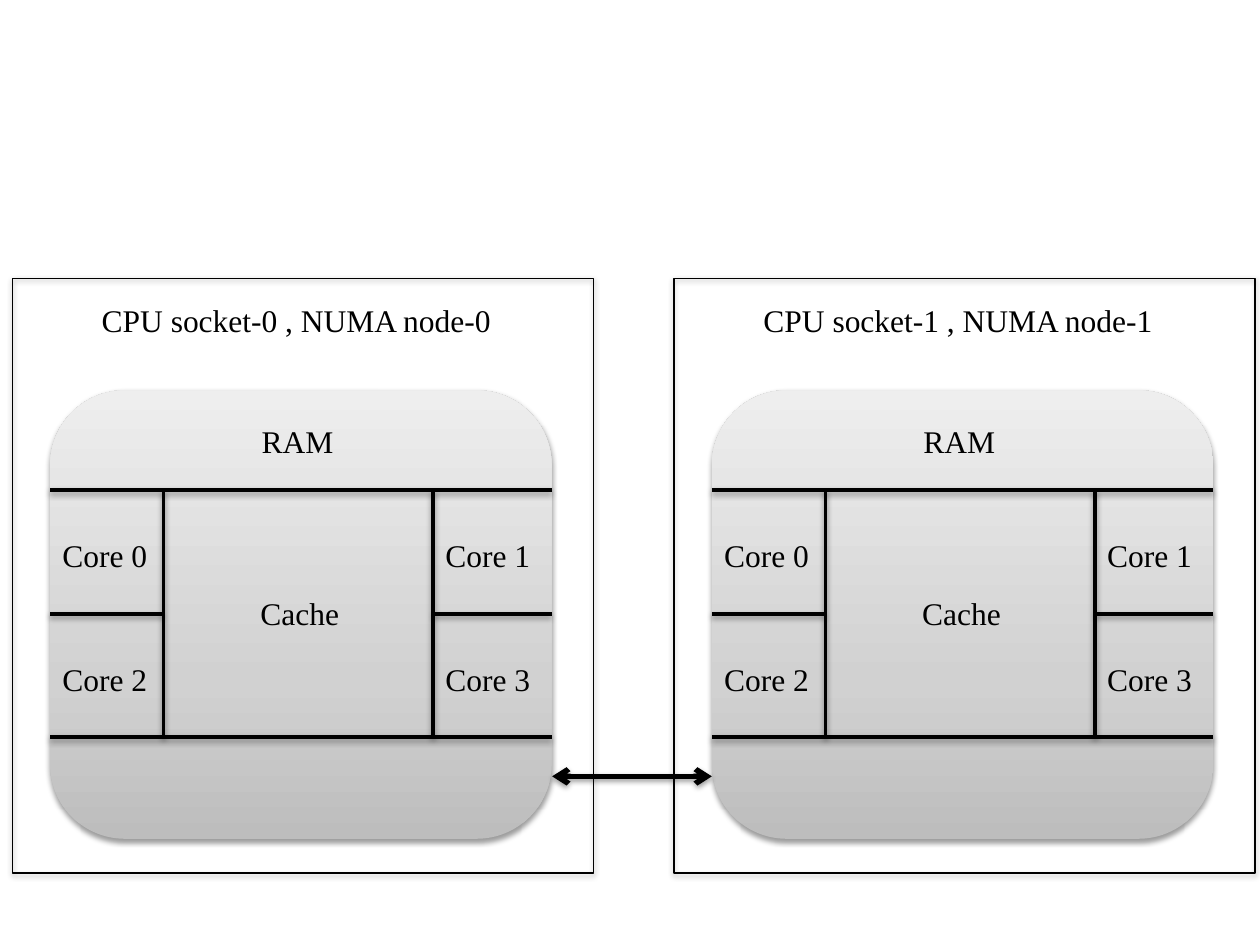
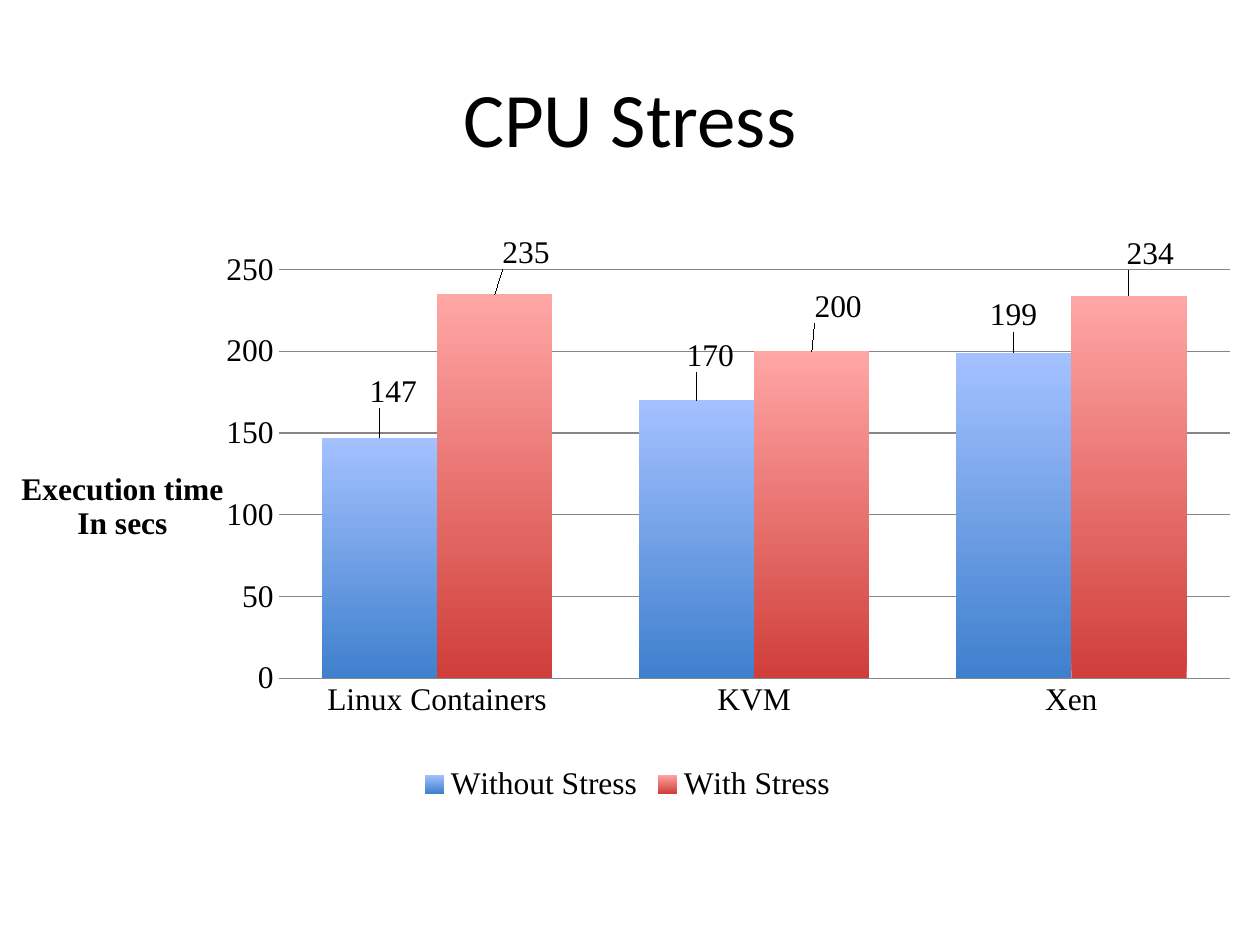
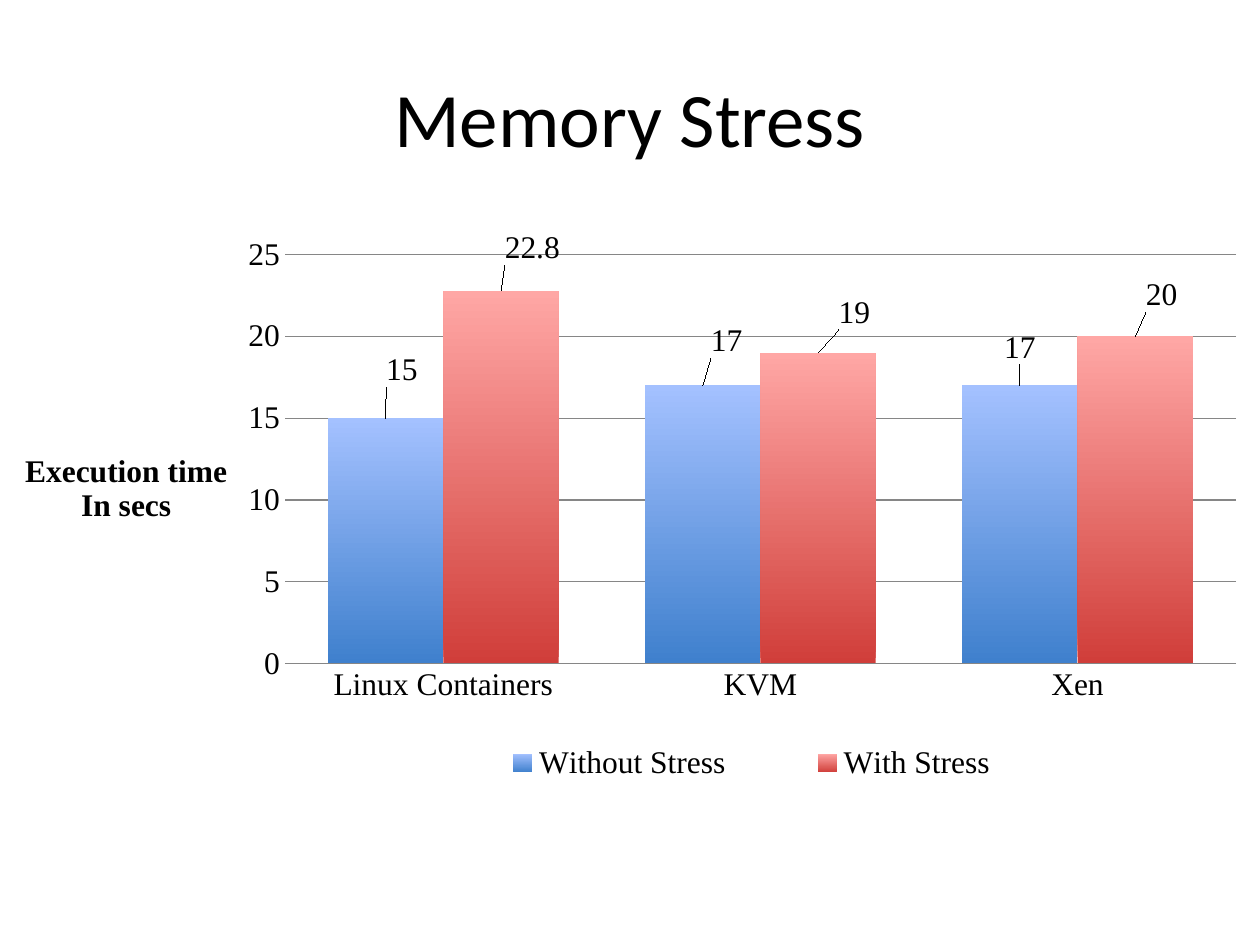
from copy import deepcopy

from lxml import etree
from pptx import Presentation
from pptx.chart.data import CategoryChartData as ChartData
from pptx.dml.color import RGBColor
from pptx.enum.chart import XL_CHART_TYPE as ChartType
from pptx.enum.chart import XL_LABEL_POSITION as LabelPosition
from pptx.enum.chart import XL_LEGEND_POSITION as LegendPosition
from pptx.enum.chart import XL_TICK_MARK as TickMark
from pptx.enum.shapes import MSO_CONNECTOR as Connector
from pptx.enum.shapes import MSO_SHAPE as Shape
from pptx.enum.text import MSO_ANCHOR as Anchor
from pptx.enum.text import PP_ALIGN as Align
from pptx.oxml.ns import qn
from pptx.util import Cm, Pt

COLORS = {
    "ink": "000000",
    "grid": "868686",
    "chip_dark": "BDBDBD",
    "chip_mid": "D1D1D1",
    "chip_light": "EEEEEE",
    "blue_dark": "3F80CD",
    "blue_light": "A4C1FF",
    "red_dark": "D03E3A",
    "red_light": "FFA7A5",
}
BODY_FONT = "Times New Roman"
TITLE_FONT = "Calibri"
BODY_SIZE = 18

CHIP_STOPS = [(0, "chip_dark"), (0.35, "chip_mid"), (1, "chip_light")]
SERIES_STOPS = [
    [(0, "blue_dark"), (1, "blue_light")],
    [(0, "red_dark"), (1, "red_light")],
]
PLATFORMS = ["Linux Containers", "KVM", "Xen"]


def color(name):
    return RGBColor.from_string(COLORS[name])


# Formatting helpers
def style_font(font, size=BODY_SIZE, face=BODY_FONT, bold=False):
    font.name, font.size, font.bold = face, Pt(size), bold
    font.color.rgb = color("ink")


def paint_gradient(fill, owner, stops):
    """Fill from bottom to top with (position, colour name) stops."""
    fill.gradient()
    fill.gradient_angle = 90
    stop_list = next(owner.iter(qn("a:gsLst")))
    while len(stop_list) < len(stops):
        stop_list.append(deepcopy(stop_list[0]))
    for stop, (position, name) in zip(fill.gradient_stops, stops):
        stop.position = position
        stop.color.rgb = color(name)


def add_shadow(shape):
    properties = shape._element.spPr
    effects = properties.find(qn("a:effectLst"))
    if effects is None:
        effects = etree.SubElement(properties, qn("a:effectLst"))
    shadow = etree.SubElement(effects, qn("a:outerShdw"), blurRad="40000", dist="20000",
                              dir="5400000", rotWithShape="0")
    tint = etree.SubElement(shadow, qn("a:srgbClr"), val=COLORS["ink"])
    etree.SubElement(tint, qn("a:alpha"), val="38000")


# Slide elements
def add_text(page, text, left, top, width, height=1.02, align=Align.LEFT,
             anchor=Anchor.TOP, **font_format):
    box = page.shapes.add_textbox(Cm(left), Cm(top), Cm(width), Cm(height))
    frame = box.text_frame
    frame.word_wrap = True
    frame.vertical_anchor = anchor
    para = frame.paragraphs[0]
    para.alignment = align
    span = para.add_run()
    span.text = text
    style_font(span.font, **font_format)


def add_title(page, text):
    add_text(page, text, 1.27, 0.76, 22.86, 3.18, align=Align.CENTER,
             anchor=Anchor.MIDDLE, size=44, face=TITLE_FONT)


def add_block(page, kind, left, top, width, height):
    block = page.shapes.add_shape(kind, Cm(left), Cm(top), Cm(width), Cm(height))
    block.shadow.inherit = False
    add_shadow(block)
    return block


def add_line(page, x1, y1, x2, y2, weight=2, arrows=False):
    line = page.shapes.add_connector(Connector.STRAIGHT, Cm(x1), Cm(y1), Cm(x2), Cm(y2))
    line.line.color.rgb = color("ink")
    line.line.width = Pt(weight)
    if arrows:
        outline = line._element.spPr.find(qn("a:ln"))
        for end in ("a:headEnd", "a:tailEnd"):
            etree.SubElement(outline, qn(end), type="arrow")
    add_shadow(line)


def draw_socket(page, number, left):
    """One CPU socket: a chip split into RAM, cores and cache, in a frame."""
    chip_left, chip_right = left + 0.76, left + 10.87
    cache_left, cache_right = left + 3.05, left + 8.48
    cores_top, cores_middle, cores_bottom = 9.88, 12.38, 14.86

    chip = add_block(page, Shape.ROUNDED_RECTANGLE, chip_left, 7.87, 10.11, 9.04)
    paint_gradient(chip.fill, chip._element, CHIP_STOPS)
    chip.line.fill.background()

    # Dividers
    for y in (cores_top, cores_bottom):
        add_line(page, chip_left, y, chip_right, y)
    for x in (cache_left, cache_right):
        add_line(page, x, cores_top, x, cores_bottom)
    for start, end in ((chip_left, cache_left), (cache_right, chip_right)):
        add_line(page, start, cores_middle, end, cores_middle)

    # Labels
    add_text(page, "RAM", left + 2.46, 8.38, 6.58, align=Align.CENTER)
    for core in range(4):
        row, column = divmod(core, 2)
        add_text(page, f"Core {core}", (chip_left, cache_right)[column],
                 10.68 + 2.5 * row, 2.31)
    add_text(page, "Cache", left + 4.22, 11.86, 3.15, align=Align.CENTER)

    # Frame
    frame = add_block(page, Shape.RECTANGLE, left, 5.61, 11.71, 11.99)
    frame.fill.background()
    frame.line.color.rgb = color("ink")
    frame.line.width = Pt(0.75)
    add_text(page, f"CPU socket-{number} , NUMA node-{number}", left + 1.55, 5.94, 8.97)


# Charts
def place_part(parent, index, percents, edge=True, inner=False):
    """Give a chart part a manual layout, in percent of the chart: x, y, w, h."""
    old = parent.find(qn("c:layout"))
    if old is not None:
        parent.remove(old)
    layout = etree.Element(qn("c:layout"))
    manual = etree.SubElement(layout, qn("c:manualLayout"))
    if inner:
        etree.SubElement(manual, qn("c:layoutTarget"), val="inner")
    if edge:
        for mode in ("c:xMode", "c:yMode"):
            etree.SubElement(manual, qn(mode), val="edge")
    for side, percent in zip("xywh", percents):
        etree.SubElement(manual, qn(f"c:{side}"), val=f"{percent / 100:.3f}")
    parent.insert(index, layout)


def style_axes(chart, maximum, step, title_at):
    categories, values = chart.category_axis, chart.value_axis
    for axis in (categories, values):
        axis.major_tick_mark = axis.minor_tick_mark = TickMark.NONE
        style_font(axis.tick_labels.font)
    categories.format.line.color.rgb = color("grid")
    values.format.line.fill.background()
    values.minimum_scale, values.maximum_scale = 0, maximum
    values.major_unit = step
    values.major_gridlines.format.line.color.rgb = color("grid")

    frame = values.axis_title.text_frame
    frame.text = "Execution time\nIn secs"
    for para in frame.paragraphs:
        style_font(para.runs[0].font, bold=True)
    body = next(values.axis_title._element.iter(qn("a:bodyPr")))
    body.set("rot", "0")
    body.set("vert", "horz")
    place_part(values.axis_title._element, 1, title_at)


def style_series(series, stops, label_shifts):
    paint_gradient(series.format.fill, series._element, stops)
    series.invert_if_negative = False
    labels = series.data_labels
    labels.show_value = True
    labels.position = LabelPosition.OUTSIDE_END
    style_font(labels.font)
    for index in range(len(label_shifts)):
        label = series.points[index].data_label
        style_font(label.font)
        label.position = LabelPosition.OUTSIDE_END
    for label, shift in zip(series._element.iter(qn("c:dLbl")), label_shifts):
        place_part(label, 1, shift, edge=False)


def add_stress_chart(page, left, top, results, label_shifts, maximum, step,
                     plot_at, title_at, legend_at=None):
    data = ChartData()
    data.categories = PLATFORMS
    for name, values in results.items():
        data.add_series(name, values)
    chart = page.shapes.add_chart(ChartType.COLUMN_CLUSTERED, Cm(left), Cm(top),
                                  Cm(25.3), Cm(13.92), data).chart
    chart.has_title = False
    style_font(chart.font)
    plot = chart.plots[0]
    plot.gap_width, plot.overlap = 75, 0
    plot.vary_by_categories = False
    for series, stops, shifts in zip(plot.series, SERIES_STOPS, label_shifts):
        style_series(series, stops, shifts)
    style_axes(chart, maximum, step, title_at)

    chart.has_legend = True
    chart.legend.position = LegendPosition.BOTTOM
    chart.legend.include_in_layout = False
    style_font(chart.legend.font)
    if legend_at:
        place_part(chart.legend._element, 1, legend_at)
    place_part(next(chart._chartSpace.iter(qn("c:plotArea"))), 0, plot_at, inner=True)


def main():
    deck = Presentation()
    deck.slide_width, deck.slide_height = Cm(25.4), Cm(19.05)
    sockets, cpu, memory = (deck.slides.add_slide(deck.slide_layouts[6]) for _ in range(3))

    # Slide 1: two linked sockets
    for number in range(2):
        draw_socket(sockets, number, 0.25 + 13.34 * number)
    add_line(sockets, 11.13, 15.65, 14.35, 15.65, weight=3, arrows=True)

    # Slide 2: CPU stress
    add_title(cpu, "CPU Stress")
    add_stress_chart(
        cpu, 0, 2.36,
        {"Without Stress": [147, 170, 199], "With Stress": [235, 200, 234]},
        [[(1.1, -3.5), (1.1, -3.3), (0, -2.3)],
         [(2.5, -2.8), (2.1, -3.3), (1.7, -2.9)]],
        maximum=250, step=50,
        plot_at=(22.2, 22.1, 75.8, 59.2), title_at=(1.4, 50.6))

    # Slide 3: memory stress
    add_title(memory, "Memory Stress")
    add_stress_chart(
        memory, 0.1, 3.48,
        {"Without Stress": [15, 17, 17], "With Stress": [22.8, 19, 20]},
        [[(1.3, -3.8), (1.9, -3.2), (0, -2.3)],
         [(2.5, -3), (2.9, -2.6), (2.1, -2.8)]],
        maximum=25, step=5,
        plot_at=(22.3, 11.9, 75.8, 59.2), title_at=(1.3, 39.9),
        legend_at=(34, 82, 51, 7))

    deck.save("out.pptx")


if __name__ == "__main__":
    main()
